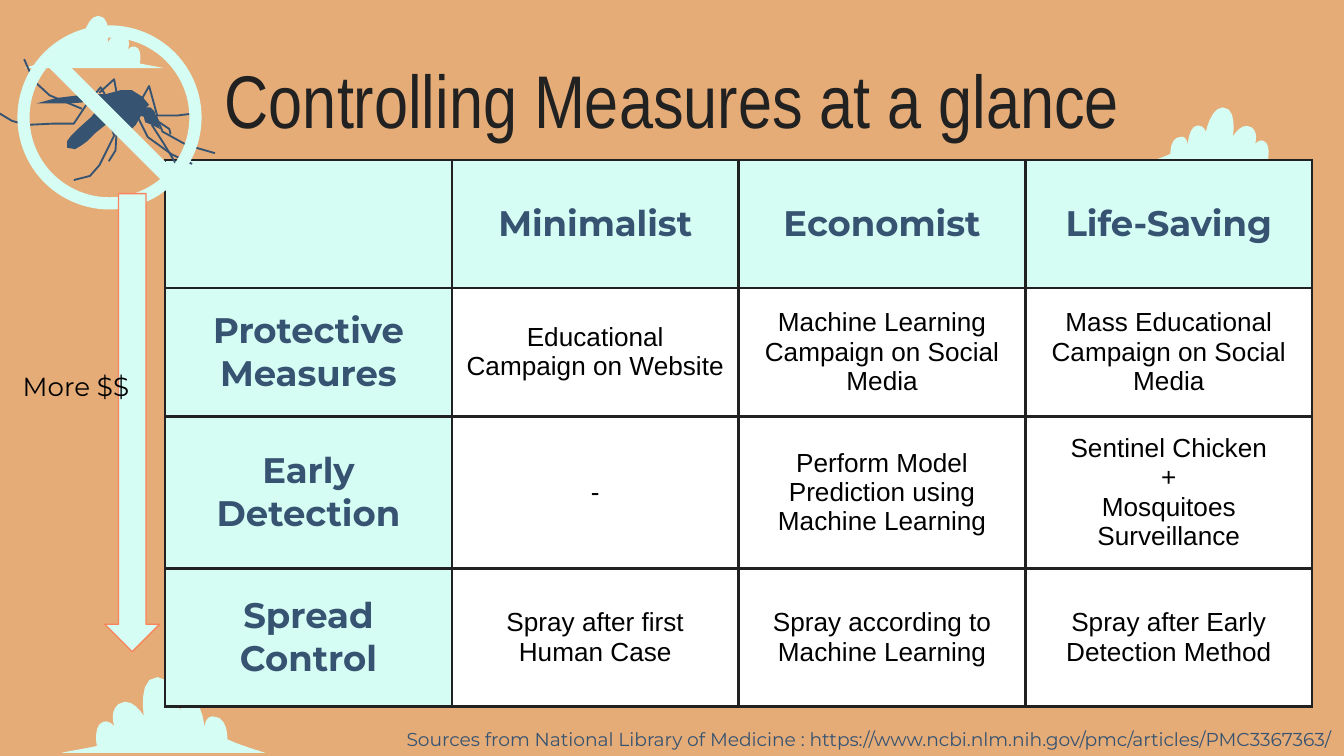
from dataclasses import dataclass

from lxml import etree
from pptx import Presentation
from pptx.dml.color import RGBColor
from pptx.enum.shapes import MSO_SHAPE
from pptx.enum.text import MSO_ANCHOR, PP_ALIGN
from pptx.oxml.ns import qn
from pptx.util import Cm, Pt

LEFT, CENTER, RIGHT = PP_ALIGN.LEFT, PP_ALIGN.CENTER, PP_ALIGN.RIGHT
TOP, MIDDLE = MSO_ANCHOR.TOP, MSO_ANCHOR.MIDDLE
DONUT, BAR, DOWN_ARROW = MSO_SHAPE.DONUT, MSO_SHAPE.RECTANGLE, MSO_SHAPE.DOWN_ARROW


@dataclass(frozen=True)
class Theme:
    sand: str = "E5AC77"
    mint: str = "D6FDF4"
    navy: str = "365372"
    ink: str = "212121"
    black: str = "000000"
    white: str = "FFFFFF"
    coral: str = "F9835C"
    title_font: str = "Arial Narrow"
    heading_font: str = "Montserrat"
    body_font: str = "Arial"
    title_size: int = 40
    heading_size: int = 19
    body_size: int = 14
    source_size: int = 10


THEME = Theme()

TITLE = "Controlling Measures at a glance"
COST_LABEL = "More $$"
SOURCE = ("Sources from National Library of Medicine : "
          "https://www.ncbi.nlm.nih.gov/pmc/articles/PMC3367363/")
MEASURES = [
    ["", "Minimalist", "Economist", "Life-Saving"],
    ["Protective Measures", "Educational Campaign on Website",
     "Machine Learning Campaign on Social Media",
     "Mass Educational Campaign on Social Media"],
    ["Early Detection", "-", "Perform Model Prediction using Machine Learning",
     "Sentinel Chicken\n+\nMosquitoes Surveillance"],
    ["Spread Control", "Spray after first Human Case",
     "Spray according to Machine Learning", "Spray after Early Detection Method"],
]
TABLE_LEFT, TABLE_TOP, COLUMN_WIDTH = 3.12, 3.02, 5.42
ROW_HEIGHTS = [2.42, 2.43, 2.62, 2.61]

CLOUD_WIDTH, CLOUD_HEIGHT = 151, 56
CLOUD_START = (71, 0)
CLOUD_CURVES = [
    ((83, 0), (88, 25), (88, 25)), ((88, 22), (91, 18), (96, 18)),
    ((105, 18), (106, 38), (106, 38)), ((106, 38), (106, 29), (112, 29)),
    ((124, 29), (123, 46), (123, 46)), ((131, 50), (151, 56), (151, 56)),
    ((100, 56), (50, 56), (0, 56)), ((9, 54), (17, 53), (26, 51)),
    ((26, 51), (23, 35), (31, 33)), ((35, 32), (38, 35), (39, 37)),
    ((38, 33), (36, 25), (42, 20)), ((52, 13), (61, 29), (61, 29)),
    ((61, 29), (56, 0), (71, 0)),
]
CLOUDS = [
    (0.46, 0.3, 2.64, 0.99, True),
    (21.59, 2.03, 2.87, 1.07, True),
    (1.17, 12.8, 3.84, 1.43, False),
]

MOSQUITO_UNIT = 0.0254
MOSQUITO_BODY = {
    "abdomen": [(76, 77), (68, 87), (58, 96), (53, 101), (50, 105), (50, 110), (56, 111),
                (61, 108), (65, 105), (71, 99), (76, 95), (81, 91), (84, 87)],
    "thorax": [(74, 74), (79, 70), (90, 67), (98, 67), (106, 72), (111, 78), (109, 80),
               (108, 84), (105, 86), (101, 93), (98, 96), (95, 94), (91, 96), (87, 95),
               (84, 89), (80, 85), (76, 79)],
    "head": [(109, 80), (112, 80), (115, 83), (117, 89), (119, 96), (113, 93), (108, 91),
             (107, 87), (104, 86)],
    "wing": [(27, 77), (42, 73), (66, 70), (79, 70), (76, 74), (65, 76), (52, 77)],
}
MOSQUITO_LEGS = [
    [(18, 44), (25, 60), (37, 71), (61, 81)],
    [(-17, 70), (-6, 81), (9, 90), (20, 93), (40, 92), (55, 92), (65, 77), (75, 65), (78, 70)],
    [(74, 69), (85, 59), (87, 70)],
    [(82, 91), (85, 101), (74, 123), (67, 131), (55, 134)],
    [(87, 95), (86, 112), (81, 120)],
    [(103, 88), (110, 102), (128, 115), (143, 122)],
    [(113, 93), (122, 107), (131, 122)],
    [(106, 73), (111, 64), (117, 86), (132, 86), (148, 84)],
    [(116, 86), (121, 98), (139, 108), (160, 114)],
    [(117, 90), (126, 96), (127, 100)],
]


def color(value):
    return RGBColor.from_string(value)


def paint(shape, fill=None, line=None, width=0.75):
    shape.shadow.inherit = False
    if fill:
        shape.fill.solid()
        shape.fill.fore_color.rgb = color(fill)
    else:
        shape.fill.background()
    if line:
        shape.line.color.rgb = color(line)
        shape.line.width = Pt(width)
    else:
        shape.line.fill.background()


def format_text(frame, font, size, ink, align, bold=False):
    for paragraph in frame.paragraphs:
        paragraph.alignment = align
        for run in paragraph.runs:
            run.font.name = font
            run.font.size = Pt(size)
            run.font.bold = bold
            run.font.color.rgb = color(ink)


def add_text(slide, text, box, anchor, *style):
    frame = slide.shapes.add_textbox(*map(Cm, box)).text_frame
    frame.word_wrap = True
    frame.vertical_anchor = anchor
    frame.margin_left = frame.margin_right = frame.margin_top = frame.margin_bottom = Cm(0.25)
    frame.text = text
    format_text(frame, *style)


def add_outline(slide, contours, closed=True):
    contours = [[(Cm(x), Cm(y)) for x, y in contour] for contour in contours]
    builder = slide.shapes.build_freeform(*contours[0][0])
    for index, contour in enumerate(contours):
        if index:
            builder.move_to(*contour[0])
        builder.add_line_segments(contour[1:], close=closed)
    return builder.convert_to_shape()


def cloud_points(steps=6):
    points = [CLOUD_START]
    for first, second, end in CLOUD_CURVES:
        start = points[-1]
        for step in range(1, steps + 1):
            t = step / steps
            weights = ((1 - t) ** 3, 3 * t * (1 - t) ** 2, 3 * t * t * (1 - t), t ** 3)
            corners = (start, first, second, end)
            points.append(tuple(sum(weight * corner[axis] for weight, corner in zip(weights, corners))
                                for axis in (0, 1)))
    return points


def add_cloud(slide, left, top, width, height, mirrored):
    points = [(left + width * ((CLOUD_WIDTH - x) if mirrored else x) / CLOUD_WIDTH,
               top + height * y / CLOUD_HEIGHT) for x, y in cloud_points()]
    paint(add_outline(slide, [points]), THEME.mint)


def add_borders(cell):
    properties = cell._tc.get_or_add_tcPr()
    for side in ("lnL", "lnR", "lnT", "lnB"):
        line = etree.SubElement(properties, qn(f"a:{side}"), w=str(Pt(1.5)))
        fill = etree.SubElement(line, qn("a:solidFill"))
        etree.SubElement(fill, qn("a:srgbClr"), val=THEME.ink)


def add_measures(slide):
    columns = len(MEASURES[0])
    table = slide.shapes.add_table(
        len(MEASURES), columns, Cm(TABLE_LEFT), Cm(TABLE_TOP),
        Cm(COLUMN_WIDTH * columns), Cm(sum(ROW_HEIGHTS))).table
    for column in table.columns:
        column.width = Cm(COLUMN_WIDTH)
    for row_index, texts in enumerate(MEASURES):
        table.rows[row_index].height = Cm(ROW_HEIGHTS[row_index])
        for column_index, text in enumerate(texts):
            heading = row_index == 0 or column_index == 0
            cell = table.cell(row_index, column_index)
            add_borders(cell)
            cell.fill.solid()
            cell.fill.fore_color.rgb = color(THEME.mint if heading else THEME.white)
            cell.vertical_anchor = MIDDLE
            cell.margin_left = cell.margin_right = cell.margin_top = cell.margin_bottom = Cm(0.25)
            cell.text_frame.text = text
            style = ((THEME.heading_font, THEME.heading_size, THEME.navy) if heading
                     else (THEME.body_font, THEME.body_size, THEME.black))
            format_text(cell.text_frame, *style, CENTER, heading)


def add_mosquito_sign(slide):
    def scaled(points):
        return [(x * MOSQUITO_UNIT, y * MOSQUITO_UNIT) for x, y in points]

    for part in MOSQUITO_BODY.values():
        paint(add_outline(slide, [scaled(part)]), THEME.navy)
    paint(add_outline(slide, [scaled(leg) for leg in MOSQUITO_LEGS], False), line=THEME.navy, width=1)
    ring = slide.shapes.add_shape(DONUT, Cm(0.33), Cm(0.48), Cm(3.48), Cm(3.48))
    ring.adjustments[0] = 0.066
    slash = slide.shapes.add_shape(BAR, Cm(0.45), Cm(2.07), Cm(3.25), Cm(0.3))
    slash.rotation = 45
    for shape in (ring, slash):
        paint(shape, THEME.mint)


def main():
    presentation = Presentation()
    presentation.slide_width, presentation.slide_height = Cm(25.4), Cm(14.29)
    slide = presentation.slides.add_slide(presentation.slide_layouts[6])
    slide.background.fill.solid()
    slide.background.fill.fore_color.rgb = color(THEME.sand)
    for cloud in CLOUDS:
        add_cloud(slide, *cloud)
    add_text(slide, TITLE, (1.98, 1.3, 21.44, 1.14), MIDDLE,
             THEME.title_font, THEME.title_size, THEME.ink, CENTER)
    add_measures(slide)
    add_mosquito_sign(slide)
    arrow = slide.shapes.add_shape(DOWN_ARROW, Cm(1.98), Cm(3.66), Cm(1.04), Cm(8.66))
    paint(arrow, THEME.mint, THEME.coral)
    add_text(slide, COST_LABEL, (0.18, 6.76, 2.62, 1.12), TOP,
             THEME.heading_font, THEME.body_size, THEME.black, LEFT)
    add_text(slide, SOURCE, (0, 13.54, 25.4, 0.74), TOP,
             THEME.heading_font, THEME.source_size, THEME.navy, RIGHT)
    presentation.save("out.pptx")


if __name__ == "__main__":
    main()
